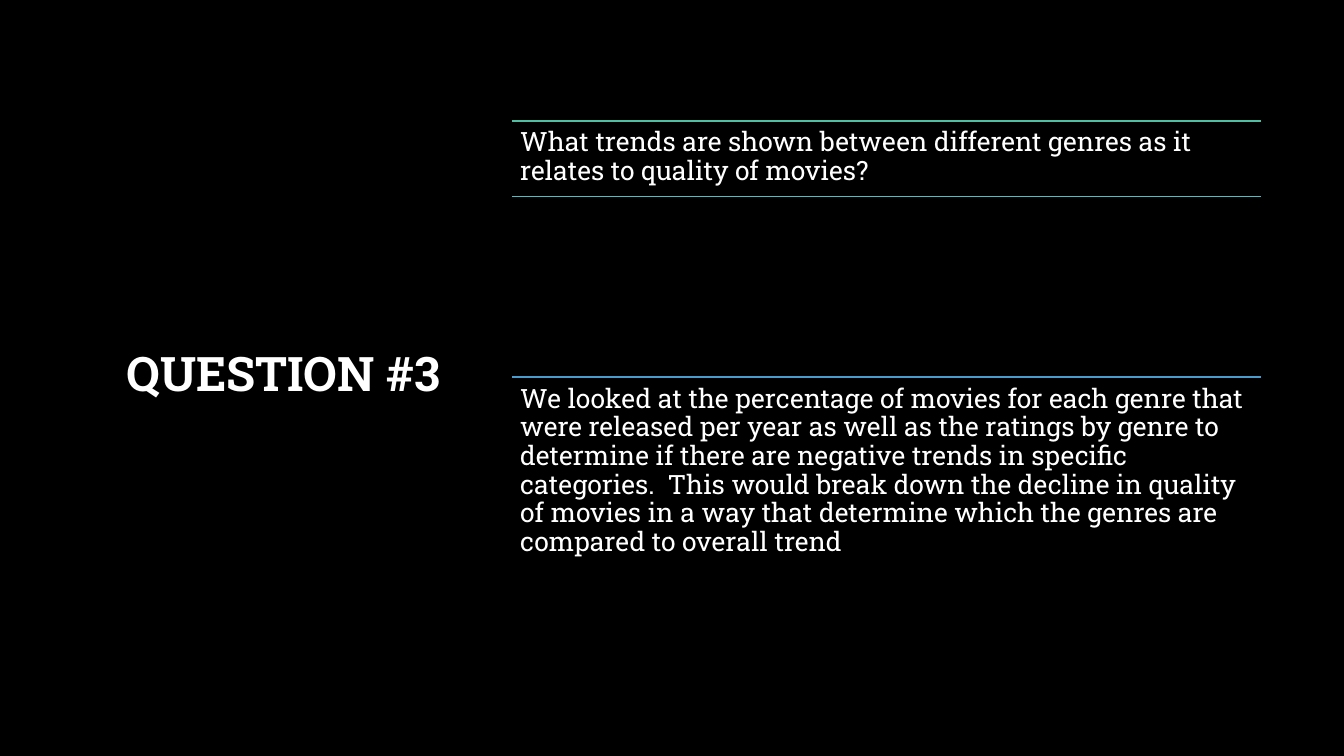
"""Build the "Question #3" slide: a title beside ruled text passages."""
from dataclasses import dataclass

from lxml import etree
from pptx import Presentation
from pptx import util as u
from pptx.dml.color import RGBColor
from pptx.enum import shapes, text
from pptx.oxml.ns import qn

FONT = "Roboto Slab"
WHITE = "FFFFFF"
LEFT, WIDTH = 5.08, 7.43


@dataclass
class Rule:
    top: float
    color: str


@dataclass
class Passage:
    top: float
    height: float
    content: str


RULES = [Rule(1.2, "50BEA3"), Rule(1.95, "4DBEC5"), Rule(3.74, "4A9CCC")]
PASSAGES = [
    Passage(1.2, 0.75, "What trends are shown between different genres as it "
                       "relates to quality of movies?"),
    Passage(3.74, 2.52, "We looked at the percentage of movies for each genre that "
                        "were released per year as well as the ratings by genre to "
                        "determine if there are negative trends in specific "
                        "categories.  This would break down the decline in quality "
                        "of movies in a way that determine which the genres are "
                        "compared to overall trend"),
]


def set_color(fmt, value: str) -> None:
    fmt.solid()
    fmt.fore_color.rgb = RGBColor.from_string(value)


def add_text(p, content: str, size: float, bold: bool = False) -> None:
    p.line_spacing = 0.9
    r = p.add_run()
    r.text = content
    r.font.name = FONT
    r.font.size = u.Pt(size)
    r.font.bold = bold
    set_color(r.font.fill, WHITE)


def add_title(s, content: str) -> None:
    sp = s.shapes.title
    sp.left, sp.top = u.Inches(0.82), u.Inches(0.67)
    sp.width, sp.height = u.Inches(3.98), u.Inches(6.13)
    tf = sp.text_frame
    tf.word_wrap = True
    tf.vertical_anchor = text.MSO_ANCHOR.MIDDLE
    p = tf.paragraphs[0]
    p.alignment = text.PP_ALIGN.CENTER
    add_text(p, content, 34, bold=True)


def add_rule(s, rule: Rule) -> None:
    y = u.Inches(rule.top)
    line = s.shapes.add_connector(shapes.MSO_CONNECTOR.STRAIGHT,
                                  u.Inches(LEFT), y, u.Inches(LEFT + WIDTH), y)
    line.line.width = u.Pt(1)
    set_color(line.line.fill, rule.color)
    etree.SubElement(line._element.spPr, qn("a:effectLst"))


def add_passage(s, passage: Passage) -> None:
    sp = s.shapes.add_textbox(u.Inches(LEFT), u.Inches(passage.top),
                              u.Inches(WIDTH), u.Inches(passage.height))
    tf = sp.text_frame
    tf.word_wrap = True
    tf.margin_left = tf.margin_right = u.Inches(0.08)
    tf.margin_top = tf.margin_bottom = u.Inches(0.08)
    add_text(tf.paragraphs[0], passage.content, 19)


def main() -> None:
    prs = Presentation()
    prs.slide_width, prs.slide_height = u.Inches(13.33), u.Inches(7.5)
    s = prs.slides.add_slide(prs.slide_layouts[5])
    set_color(s.background.fill, "000000")
    add_title(s, "QUESTION #3")
    for rule in RULES:
        add_rule(s, rule)
    for passage in PASSAGES:
        add_passage(s, passage)
    prs.save("out.pptx")


if __name__ == "__main__":
    main()
